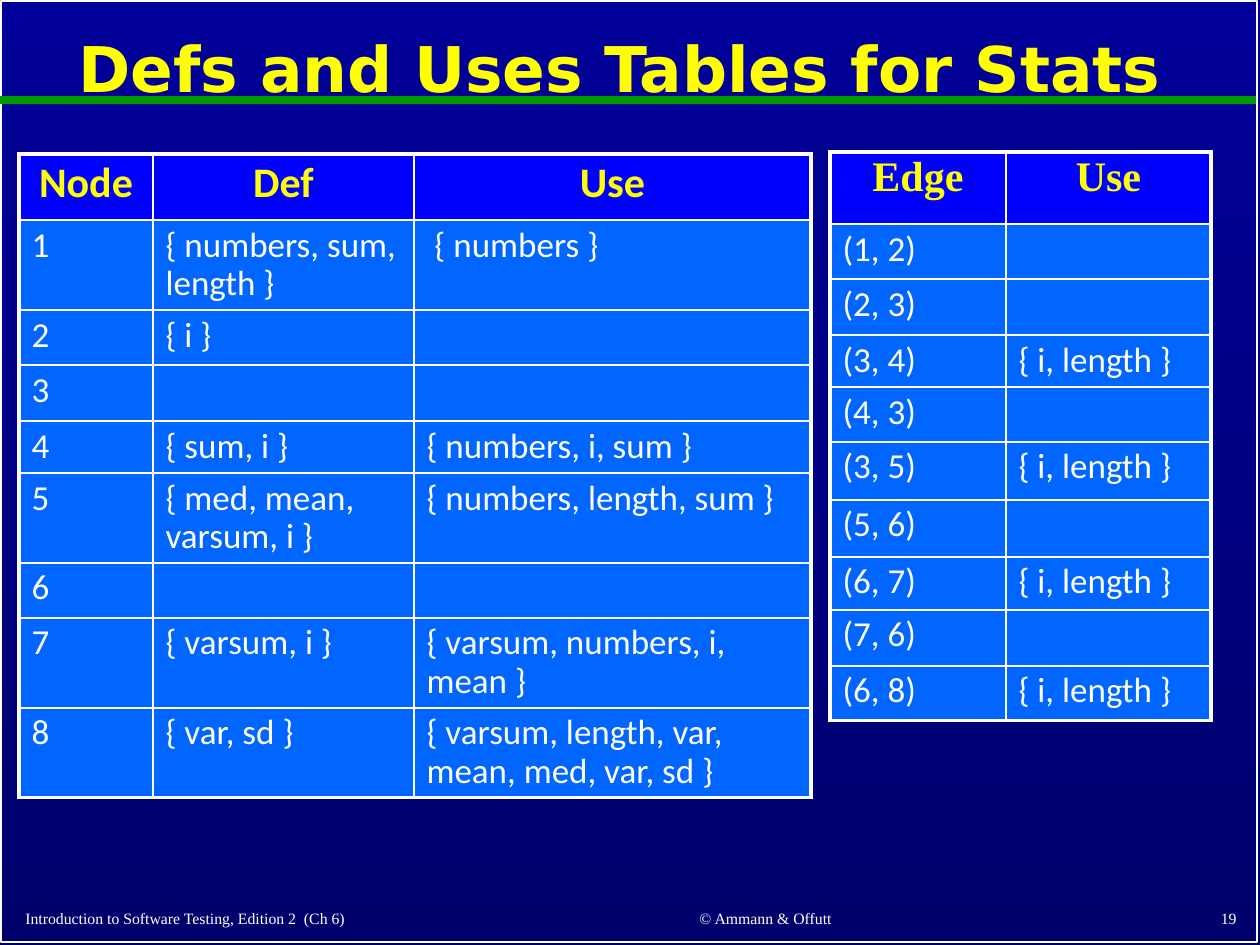
from dataclasses import dataclass

from lxml.etree import SubElement
from pptx import Presentation
from pptx.dml.color import RGBColor
from pptx.enum.shapes import MSO_CONNECTOR, MSO_SHAPE
from pptx.enum.text import MSO_ANCHOR as Anchor, PP_ALIGN as Align
from pptx.oxml.ns import qn
from pptx.util import Emu, Pt

EMU_PER_PX = 914400 / 126
COLORS = {
    "sky": "000099",
    "deep": "00006D",
    "white": "FFFFFF",
    "rule": "009900",
    "yellow": "FFFF00",
    "header": "0000FF",
    "body": "0066FF",
}


@dataclass(frozen=True)
class TextStyle:
    font: str
    size: int
    color: str = "white"
    bold: bool = False
    align: Align = Align.LEFT
    spacing: float = 1.0


@dataclass(frozen=True)
class Label:
    text: str
    box: tuple[int, int, int, int]
    style: TextStyle


@dataclass(frozen=True)
class Grid:
    left: int
    top: int
    columns: list[int]
    heights: list[int]
    header_font: str
    rows: list[tuple[str, ...]]


def footer_style(align: Align) -> TextStyle:
    return TextStyle("Times New Roman", 9, align=align)


BODY_STYLE = TextStyle("Calibri", 20, spacing=0.9)
LABELS = [
    Label("Introduction to Software Testing, Edition 2  (Ch 6)",
          (13, 902, 518, 33), footer_style(Align.LEFT)),
    Label("© Ammann & Offutt", (566, 902, 399, 33), footer_style(Align.CENTER)),
    Label("19", (987, 901, 262, 34), footer_style(Align.RIGHT)),
    Label("Defs and Uses Tables for Stats ", (10, 14, 1241, 116),
          TextStyle("DejaVu Sans", 36, "yellow", True, Align.CENTER, 0.9)),
]
NODE_TABLE = Grid(
    19, 154, [134, 261, 397], [66, 90, 55, 56, 52, 90, 55, 90, 90], "Calibri",
    [
        ("Node", "Def", "Use"),
        ("1", "{ numbers, sum, length }", " { numbers }"),
        ("2", "{ i }", ""),
        ("3", "", ""),
        ("4", "{ sum, i }", "{ numbers, i, sum }"),
        ("5", "{ med, mean, varsum, i }", "{ numbers, length, sum }"),
        ("6", "", ""),
        ("7", "{ varsum, i }", "{ varsum, numbers, i, mean }"),
        ("8", "{ var, sd }", "{ varsum, length, var, mean, med, var, sd }"),
    ],
)
EDGE_USE = "{ i, length }"
EDGE_TABLE = Grid(
    830, 152, [176, 205], [72, 55, 56, 52, 55, 58, 57, 53, 56, 55], "Times New Roman",
    [
        ("Edge", "Use"),
        ("(1, 2)", ""),
        ("(2, 3)", ""),
        ("(3, 4)", EDGE_USE),
        ("(4, 3)", ""),
        ("(3, 5)", EDGE_USE),
        ("(5, 6)", ""),
        ("(6, 7)", EDGE_USE),
        ("(7, 6)", ""),
        ("(6, 8)", EDGE_USE),
    ],
)


def px(length: int) -> Emu:
    return Emu(round(length * EMU_PER_PX))


def rgb(name: str) -> RGBColor:
    return RGBColor.from_string(COLORS[name])


def write(frame, text: str, style: TextStyle) -> None:
    frame.text = text
    paragraph = frame.paragraphs[0]
    paragraph.alignment = style.align
    paragraph.line_spacing = style.spacing
    for run in paragraph.runs:
        run.font.name = style.font
        run.font.size = Pt(style.size)
        run.font.bold = style.bold
        run.font.color.rgb = rgb(style.color)


def add_label(slide, label: Label) -> None:
    frame = slide.shapes.add_textbox(*map(px, label.box)).text_frame
    frame.word_wrap = True
    frame.vertical_anchor = Anchor.MIDDLE
    write(frame, label.text, label.style)


def add_cell_border(cell, side: str, outer: bool) -> None:
    width = Pt(2.25 if outer else 1)
    line = SubElement(cell._tc.get_or_add_tcPr(), qn(f"a:ln{side}"), w=str(int(width)))
    fill = SubElement(line, qn("a:solidFill"))
    SubElement(fill, qn("a:srgbClr"), val=COLORS["white"])


def add_grid(slide, grid: Grid) -> None:
    """Draw a table with a thick frame, thin inner lines and a coloured header."""
    last_row, last_column = len(grid.rows) - 1, len(grid.columns) - 1
    table = slide.shapes.add_table(
        last_row + 1, last_column + 1, px(grid.left), px(grid.top),
        px(sum(grid.columns)), px(sum(grid.heights))).table
    table.first_row = table.horz_banding = False
    for column, width in zip(table.columns, grid.columns):
        column.width = px(width)
    for row, height in zip(table.rows, grid.heights):
        row.height = px(height)

    header_style = TextStyle(grid.header_font, 24, "yellow", True, Align.CENTER, 0.9)
    for r, texts in enumerate(grid.rows):
        for c, text in enumerate(texts):
            cell = table.cell(r, c)
            outer_sides = {"L": c == 0, "R": c == last_column,
                           "T": r == 0, "B": r == last_row}
            for side, outer in outer_sides.items():
                add_cell_border(cell, side, outer)
            cell.fill.solid()
            cell.fill.fore_color.rgb = rgb("body" if r else "header")
            write(cell.text_frame, text, BODY_STYLE if r else header_style)


def paint_background(slide) -> None:
    fill = slide.background.fill
    fill.gradient()
    fill.gradient_angle = 270
    for stop, color in zip(fill.gradient_stops, ("sky", "deep")):
        stop.color.rgb = rgb(color)


def add_frame_and_rule(slide) -> None:
    frame = slide.shapes.add_shape(MSO_SHAPE.RECTANGLE, px(1), px(1), px(1256), px(941))
    frame.shadow.inherit = False
    frame.fill.background()
    frame.line.color.rgb = rgb("white")
    frame.line.width = Pt(1)

    rule = slide.shapes.add_connector(
        MSO_CONNECTOR.STRAIGHT, px(0), px(100), px(1256), px(100))
    rule.line.color.rgb = rgb("rule")
    rule.line.width = Pt(4.5)
    SubElement(rule._element.spPr, qn("a:effectLst"))


def main() -> None:
    deck = Presentation()
    deck.slide_width, deck.slide_height = px(1260), px(945)
    slide = deck.slides.add_slide(deck.slide_layouts[6])
    paint_background(slide)
    add_frame_and_rule(slide)
    for label in LABELS:
        add_label(slide, label)
    for grid in (NODE_TABLE, EDGE_TABLE):
        add_grid(slide, grid)
    deck.save("out.pptx")


if __name__ == "__main__":
    main()
